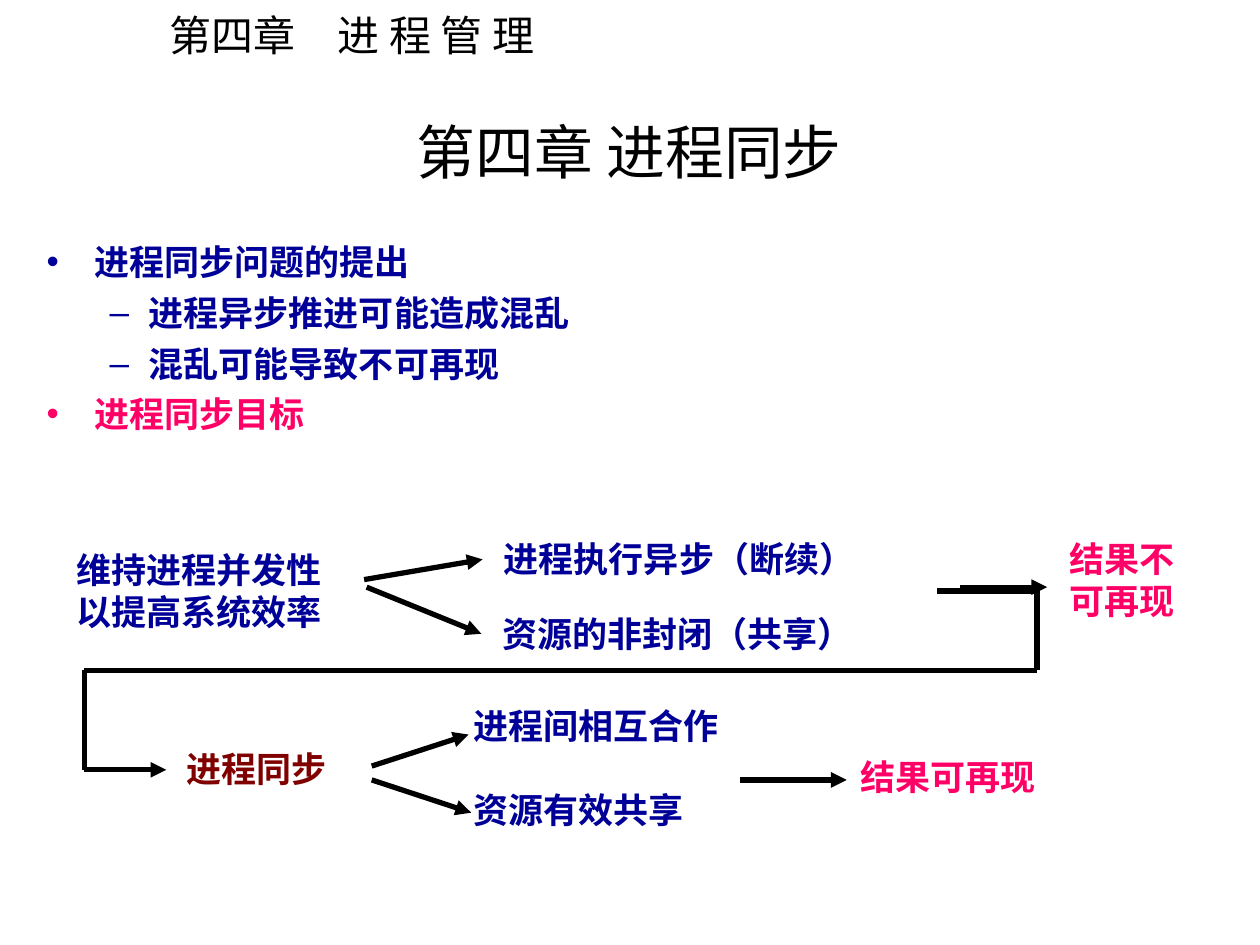
import pptx
import pptx.util
import pptx.dml.color
import pptx.enum.shapes
import pptx.enum.text
from lxml import etree
from pptx.oxml.ns import qn

Inches, Pt = pptx.util.Inches, pptx.util.Pt
Align, Anchor = pptx.enum.text.PP_ALIGN, pptx.enum.text.MSO_ANCHOR

BLACK, NAVY, PINK, MAROON = "000000", "000099", "FF0066", "800000"
CJK = "Noto Sans CJK SC"

CHAPTER = "第四章　进 程 管 理"
TITLE = "第四章 进程同步"
POINTS = [  # level, text, colour
    (0, "进程同步问题的提出", NAVY),
    (1, "进程异步推进可能造成混乱", NAVY),
    (1, "混乱可能导致不可再现", NAVY),
    (0, "进程同步目标", PINK),
]
LEVELS = [("•", 0.38, -0.38), ("–", 0.81, -0.31)]  # bullet, margin, indent
LABELS = [  # left, top, width, lines, colour
    (0.51, 4.3, 2.44, ["维持进程并发性", "以提高系统效率"], NAVY),
    (3.9, 4.22, 3.23, ["进程执行异步（断续）"], NAVY),
    (3.89, 4.81, 3.16, ["资源的非封闭（共享）"], NAVY),
    (8.39, 4.22, 1.22, ["结果不", "可再现"], PINK),
    (1.38, 5.88, 1.58, ["进程同步"], MAROON),
    (3.66, 5.54, 3.23, ["进程间相互合作"], NAVY),
    (3.66, 6.21, 2.13, ["资源有效共享"], NAVY),
    (6.73, 5.95, 2.39, ["结果可再现"], PINK),
]
ARROWS = [  # start, end
    ((2.89, 4.6), (3.83, 4.44)),
    ((2.91, 4.66), (3.82, 5.03)),
    ((7.62, 4.66), (8.31, 4.66)),
    ((2.95, 6.08), (3.72, 5.83)),
    ((2.95, 6.19), (3.74, 6.45)),
    ((5.87, 6.19), (6.72, 6.19)),
]
STUB = ((7.44, 4.69), (8.25, 4.69))
RETURN = [(8.23, 4.69), (8.23, 5.32), (0.67, 5.32), (0.67, 6.11), (1.32, 6.11)]


def rgb(code):
    return pptx.dml.color.RGBColor.from_string(code)


def place(shape, left, top, width, height):
    shape.left, shape.top = Inches(left), Inches(top)
    shape.width, shape.height = Inches(width), Inches(height)


def write(para, text, size=20, font="Arial", color=BLACK, bold=False,
          align=Align.LEFT, before=0, spacing=1.0):
    run = para.add_run()
    run.text = text
    para.alignment = align
    para.space_before, para.line_spacing = Pt(before), spacing
    run.font.size, run.font.bold, run.font.name = Pt(size), bold, font
    run.font.color.rgb = rgb(color)
    if font == CJK:
        east = etree.SubElement(run.font._element, qn("a:ea"))
        east.set("typeface", font)


def mark(para, level):
    """Give the paragraph its level, indents and bullet."""
    char, margin, indent = LEVELS[level]
    para.level = level
    props = para._p.get_or_add_pPr()
    props.set("marL", str(Inches(margin)))
    props.set("indent", str(Inches(indent)))
    etree.SubElement(props, qn("a:buChar")).set("char", char)


def label(slide, left, top, width, lines, wrap=True, **style):
    height = 0.1 + 0.34 * len(lines)
    box = slide.shapes.add_textbox(0, 0, 0, 0)
    place(box, left, top, width, height)
    frame = box.text_frame
    frame.word_wrap = wrap
    for i, line in enumerate(lines):
        write(frame.add_paragraph() if i else frame.paragraphs[0], line, **style)


def link(slide, start, end, arrow=False):
    kind = pptx.enum.shapes.MSO_CONNECTOR.STRAIGHT
    line = slide.shapes.add_connector(kind, *map(Inches, start + end))
    line.line.color.rgb, line.line.width = rgb(BLACK), Pt(3)
    if arrow:
        tail = etree.SubElement(line.line._get_or_add_ln(), qn("a:tailEnd"))
        tail.set("type", "triangle")
    etree.SubElement(line._element.spPr, qn("a:effectLst"))


def main():
    deck = pptx.Presentation()
    deck.slide_width, deck.slide_height = Inches(10), Inches(7.5)
    slide = deck.slides.add_slide(deck.slide_layouts[1])
    title, body = slide.placeholders

    label(slide, 1.25, 0.03, 3.16, [CHAPTER], wrap=False, size=24, font=CJK)

    place(title, 0.27, 0.91, 9.45, 0.68)
    title.text_frame.auto_size = pptx.enum.text.MSO_AUTO_SIZE.NONE
    title.text_frame.vertical_anchor = Anchor.MIDDLE
    write(title.text_frame.paragraphs[0], TITLE, size=33.6, font=CJK,
          align=Align.CENTER, spacing=0.8)

    place(body, 0.27, 1.86, 9.45, 5.28)
    frame = body.text_frame
    frame.auto_size = pptx.enum.text.MSO_AUTO_SIZE.NONE
    for i, (level, text, color) in enumerate(POINTS):
        para = frame.add_paragraph() if i else frame.paragraphs[0]
        mark(para, level)
        write(para, text, font="Times New Roman", color=color, bold=True,
              before=5 if i else 0)

    for left, top, width, lines, color in LABELS:
        label(slide, left, top, width, lines, color=color, bold=True)

    for start, end in ARROWS:
        link(slide, start, end, arrow=True)
    link(slide, *STUB)
    for start, end in zip(RETURN, RETURN[1:]):
        link(slide, start, end, arrow=end == RETURN[-1])

    deck.save("out.pptx")


if __name__ == "__main__":
    main()
